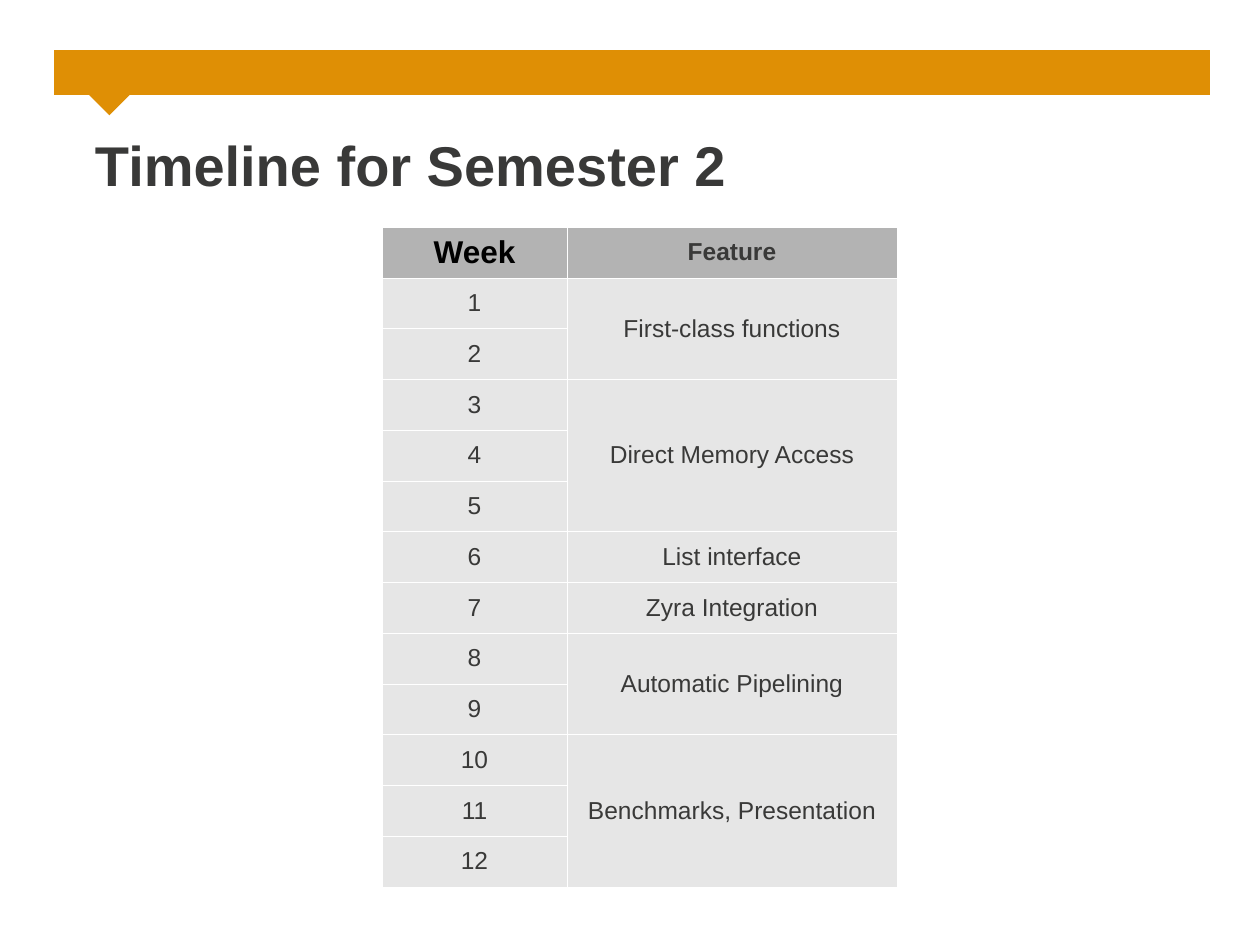
import pptx
import pptx.util
import pptx.dml.color
import pptx.enum.shapes
import pptx.enum.text
import pptx.oxml

# Content
TITLE = "Timeline for Semester 2"
HEADS = [("Week", 18, "000000"), ("Feature", 14, "393938")]
PLAN = [  # feature, number of weeks
    ("First-class functions", 2),
    ("Direct Memory Access", 3),
    ("List interface", 1),
    ("Zyra Integration", 1),
    ("Automatic Pipelining", 2),
    ("Benchmarks, Presentation", 3),
]
BANNER = [(54, 50, 1156, 45, 0), (89, 68, 40, 39, 45)]  # box and turn
COLS = [185, 330]
HIGH = 660

FONT, DARK, ORANGE = "Arial", "393938", "DF8F05"
HEAD, BODY = "B3B3B3", "E6E6E6"
MIDDLE = pptx.enum.text.MSO_ANCHOR.MIDDLE
CENTER = pptx.enum.text.PP_ALIGN.CENTER
LEFT = pptx.enum.text.PP_ALIGN.LEFT
NS = 'xmlns:a="http://schemas.openxmlformats.org/drawingml/2006/main"'


def px(n):
    return pptx.util.Emu(round(n * 914400 / 126))


def rgb(code):
    return pptx.dml.color.RGBColor.from_string(code)


def write(owner, text, size, color, bold, align):
    """Fill a text frame or a table cell; both anchor their own text."""
    owner.vertical_anchor = MIDDLE
    frame = getattr(owner, "text_frame", owner)
    frame.text = text
    para = frame.paragraphs[0]
    para.alignment = align
    font = para.runs[0].font
    font.name, font.size, font.bold = FONT, pptx.util.Pt(size), bold
    font.color.rgb = rgb(color)


def paint(cell, color):
    cell.fill.solid()
    cell.fill.fore_color.rgb = rgb(color)
    props = cell._tc.get_or_add_tcPr()
    for spot, side in enumerate("LRTB"):
        props.insert(spot, pptx.oxml.parse_xml(
            f'<a:ln{side} {NS} w="762"><a:solidFill>'
            f'<a:srgbClr val="FFFFFF"/></a:solidFill></a:ln{side}>'))


deck = pptx.Presentation()
deck.slide_width, deck.slide_height = px(1260), px(945)
slide = deck.slides.add_slide(deck.slide_layouts[5])

# Banner with its pointer
for x, y, w, h, turn in BANNER:
    bar = slide.shapes.add_shape(
        pptx.enum.shapes.MSO_SHAPE.RECTANGLE, px(x), px(y), px(w), px(h))
    bar.rotation = turn
    bar.shadow.inherit = False
    bar.fill.solid()
    bar.fill.fore_color.rgb = rgb(ORANGE)
    bar.line.fill.background()

# Title
title = slide.shapes.title
title.left, title.top, title.width, title.height = map(px, (95, 130, 1131, 84))
frame = title.text_frame
frame.margin_left = frame.margin_top = 0
frame.margin_right, frame.margin_bottom = px(13), px(16)
write(frame, TITLE, 32, DARK, True, LEFT)

# Table
rows = 1 + sum(weeks for _, weeks in PLAN)
table = slide.shapes.add_table(
    rows, len(COLS), px(382), px(227), px(sum(COLS)), px(HIGH)).table
for col, wide in zip(table.columns, COLS):
    col.width = px(wide)
for row in table.rows:
    row.height = px(HIGH / rows)
for r in range(rows):
    for c in range(len(COLS)):
        paint(table.cell(r, c), BODY if r else HEAD)

for c, (text, size, color) in enumerate(HEADS):
    write(table.cell(0, c), text, size, color, True, CENTER)
for week in range(1, rows):
    write(table.cell(week, 0), str(week), 14, DARK, False, CENTER)

# Features span their weeks
start = 1
for text, weeks in PLAN:
    cell = table.cell(start, 1)
    if weeks > 1:
        cell.merge(table.cell(start + weeks - 1, 1))
    write(cell, text, 14, DARK, False, CENTER)
    start += weeks

deck.save("out.pptx")
